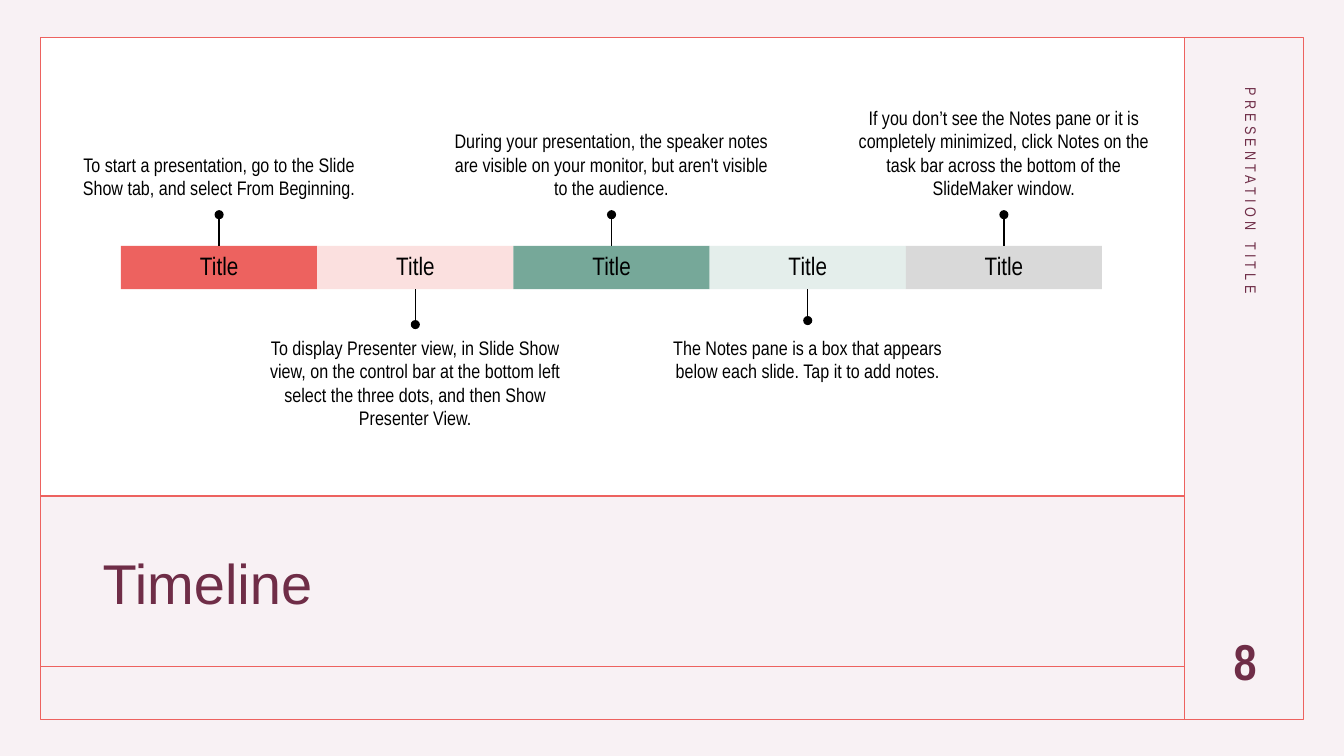
from pptx import Presentation
from pptx.dml.color import RGBColor
from pptx.enum.shapes import MSO_CONNECTOR, MSO_SHAPE
from pptx.enum.text import MSO_ANCHOR, PP_ALIGN
from pptx.oxml.ns import qn
from pptx.util import Inches, Pt
from lxml import etree

RECTANGLE, OVAL = MSO_SHAPE.RECTANGLE, MSO_SHAPE.OVAL
STRAIGHT = MSO_CONNECTOR.STRAIGHT
TOP, MIDDLE, BOTTOM = MSO_ANCHOR.TOP, MSO_ANCHOR.MIDDLE, MSO_ANCHOR.BOTTOM
LEFT, CENTER = PP_ALIGN.LEFT, PP_ALIGN.CENTER

COLORS = {
    "background": "F8F1F4", "panel": "FFFFFF", "coral": "ED625F",
    "pale coral": "FBE0DF", "green": "76A899", "pale green": "E4EEEB",
    "gray": "D9D9D9", "plum": "6F2D47", "black": "000000",
}
NARROW = "Arial Narrow"
INSETS = (0.1, 0.05)
DOT = 0.09
NOTE_HEIGHT = 1.51

# Bar color, note, note width, distance from the bar to the center of the dot
STEPS = [
    ("coral", "To start a presentation, go to the Slide Show tab, and select "
     "From Beginning.", 3.24, 0.31),
    ("pale coral", "To display Presenter view, in Slide Show view, on the control "
     "bar at the bottom left select the three dots, and then Show Presenter View.",
     3.06, 0.35),
    ("green", "During your presentation, the speaker notes are visible on your "
     "monitor, but aren't visible to the audience.", 3.24, 0.31),
    ("pale green", "The Notes pane is a box that appears below each slide. "
     "Tap it to add notes.", 3.24, 0.31),
    ("gray", "If you don’t see the Notes pane or it is completely minimized, click "
     "Notes on the task bar across the bottom of the SlideMaker window.", 3.24, 0.31),
]


def color(name):
    return RGBColor.from_string(COLORS[name])


def add_block(page, kind, box, fill=None, line=None):
    block = page.shapes.add_shape(kind, *map(Inches, box))
    block.shadow.inherit = False
    if fill:
        block.fill.solid()
        block.fill.fore_color.rgb = color(fill)
    else:
        block.fill.background()
    if line:
        block.line.color.rgb = color(line)
        block.line.width = Pt(1)
    else:
        block.line.fill.background()
    return block


def add_line(page, start, end, line):
    rule = page.shapes.add_connector(STRAIGHT, *map(Inches, start + end))
    rule.line.color.rgb = color(line)
    rule.line.width = Pt(1)
    etree.SubElement(rule._element.spPr, qn("a:effectLst"))


def add_text(page, box, text, size, ink="black", font=NARROW, align=CENTER,
             anchor=TOP, insets=INSETS, spacing=None):
    label = page.shapes.add_textbox(*map(Inches, box))
    frame = label.text_frame
    frame.text = text
    frame.word_wrap = True
    frame.vertical_anchor = anchor
    frame.margin_left = frame.margin_right = Inches(insets[0])
    frame.margin_top = frame.margin_bottom = Inches(insets[1])
    para = frame.paragraphs[0]
    para.alignment = align
    para.line_spacing = spacing
    span = para.runs[0]
    span.font.name = font
    span.font.size = Pt(size)
    span.font.color.rgb = color(ink)
    return label


def draw_frame(page, box, divider, rows):
    """Outline the box, split it at x = divider and rule its left part at the rows."""
    left, top, width, height = box
    add_block(page, RECTANGLE, (left, top, divider - left, rows[0] - top), "panel")
    add_line(page, (divider, top), (divider, top + height), "coral")
    for row in rows:
        add_line(page, (left, row), (divider, row), "coral")
    add_block(page, RECTANGLE, box, line="coral")


def draw_timeline(page, box):
    """Split the bar into steps, with notes by turns above and below it."""
    left, top, width, height = box
    step_width = width / len(STEPS)
    for index, (fill, note, note_width, reach) in enumerate(STEPS):
        step_box = (left + index * step_width, top, step_width, height)
        center = step_box[0] + step_width / 2
        above = index % 2 == 0
        edge = top if above else top + height
        dot_y = edge - reach if above else edge + reach
        note_top = top - 0.43 - NOTE_HEIGHT if above else edge + 0.43
        add_block(page, RECTANGLE, step_box, fill)
        add_text(page, step_box, "Title", 18, anchor=MIDDLE, insets=(0.03, 0),
                 spacing=0.9)
        add_text(page, (center - note_width / 2, note_top, note_width, NOTE_HEIGHT),
                 note, 14, anchor=BOTTOM if above else TOP, insets=(0.06, 0.03))
        add_line(page, (center, edge), (center, dot_y), "black")
        add_block(page, OVAL, (center - DOT / 2, dot_y - DOT / 2, DOT, DOT), "black")


def draw_sidebar(page, box):
    """Put the turned running title and the page number in the side column."""
    left, top, width, height = box
    center = left + width / 2
    running = add_text(page, (center - 2.25, top + 2.45, 4.5, 0.4),
                       "PRESENTATION TITLE", 11, "plum", align=LEFT)
    running.rotation = 90
    running.text_frame.paragraphs[0].runs[0]._r.get_or_add_rPr().set("spc", "300")
    number = add_text(page, (center - 0.52, top + height - 0.94, 1.04, 0.83),
                      "8", 36, "plum")
    number.text_frame.paragraphs[0].runs[0].font.bold = True


def main():
    deck = Presentation()
    deck.slide_width, deck.slide_height = Inches(13.33), Inches(7.5)
    page = deck.slides.add_slide(deck.slide_layouts[6])
    page.background.fill.solid()
    page.background.fill.fore_color.rgb = color("background")
    draw_frame(page, (0.4, 0.37, 12.53, 6.77), 11.75, (4.92, 6.61))
    add_text(page, (0.92, 5.25, 10.31, 1.14), "Timeline", 40, "plum", "Arial",
             LEFT, MIDDLE, spacing=0.9)
    draw_timeline(page, (1.2, 2.44, 9.73, 0.43))
    draw_sidebar(page, (11.75, 0.37, 1.2, 6.77))
    deck.save("out.pptx")


if __name__ == "__main__":
    main()
